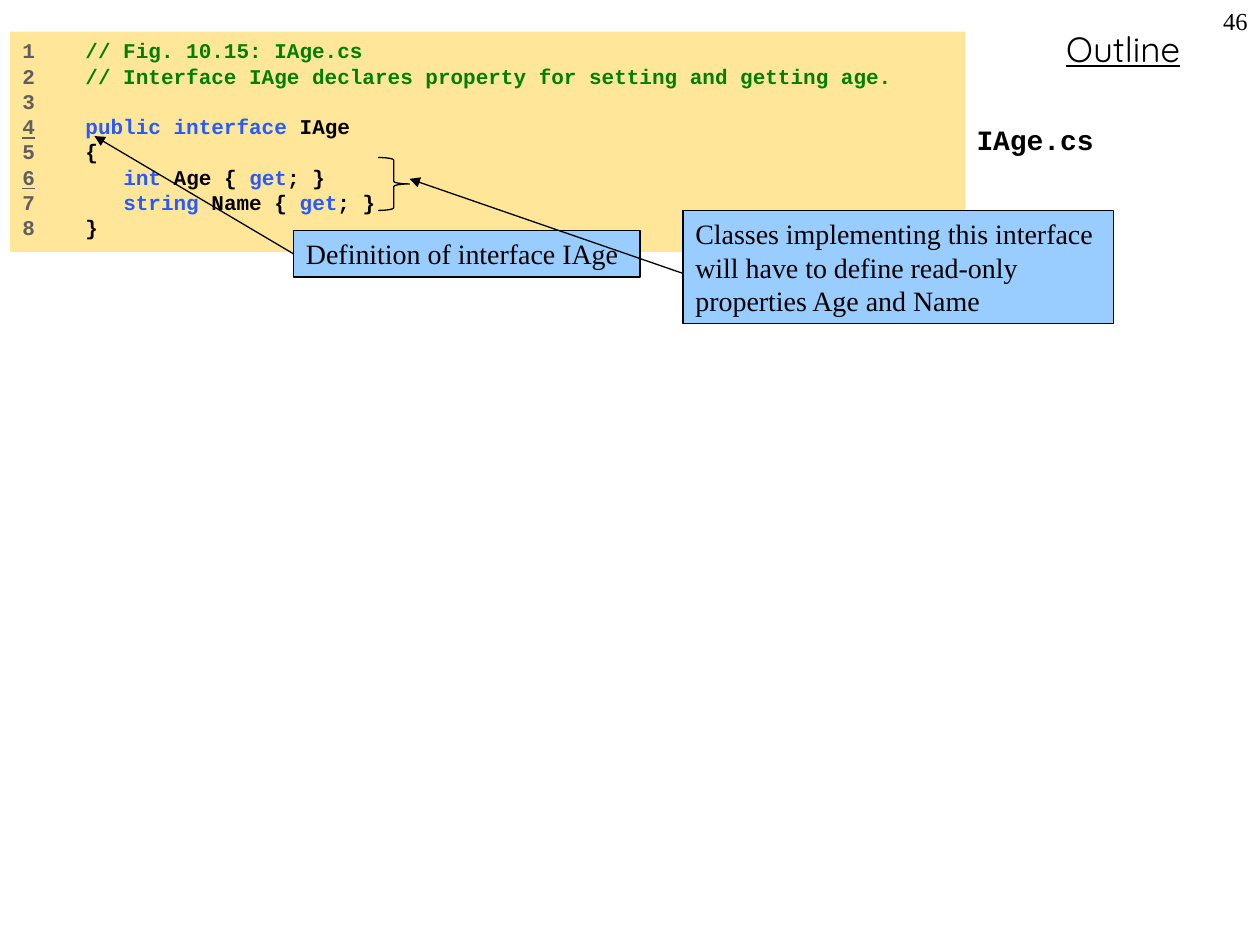
from lxml import etree
from pptx import Presentation, util as u
from pptx.dml.color import RGBColor
from pptx.enum import shapes, text
from pptx.oxml import ns


class Theme:
    ink, num, note, key = "000000", "5F5F5F", "008000", "275AFF"
    code, call = "FFE699", "99CCFF"
    mono, serif, sans = "Courier New", "Times New Roman", "Quicksand"
    small, page, body, head = 12, 14, 16, 20
    line, lead = 0.75, 14.45


deck = Presentation()
deck.slide_width, deck.slide_height = u.Inches(10), u.Inches(7.5)
slide = deck.slides.add_slide(deck.slide_layouts[6])


def write(words, at, font=Theme.serif, size=Theme.body, bold=False, under=False,
          fill=None, edge=False, align="LEFT", lead=None):
    """Place a box; words is a string or lines of (text, colour, underline) runs."""
    spot = [u.Inches(n) for n in at]
    if fill:
        box = slide.shapes.add_shape(shapes.MSO_SHAPE.RECTANGLE, *spot)
        box.shadow.inherit = False
        box.fill.solid()
        box.fill.fore_color.rgb = RGBColor.from_string(fill)
        if edge:
            box.line.color.rgb = RGBColor.from_string(Theme.ink)
            box.line.width = u.Pt(Theme.line)
        else:
            box.line.fill.background()
    else:
        box = slide.shapes.add_textbox(*spot)
    frame = box.text_frame
    frame.word_wrap = True
    frame.vertical_anchor = text.MSO_ANCHOR.TOP
    rows = [[(words, Theme.ink, under)]] if isinstance(words, str) else words
    for i, row in enumerate(rows):
        para = frame.add_paragraph() if i else frame.paragraphs[0]
        para.alignment = text.PP_ALIGN[align]
        if lead:
            para.line_spacing = u.Pt(lead)
        for part, color, mark in row:
            run = para.add_run()
            run.text = part
            run.font.name, run.font.size = font, u.Pt(size)
            run.font.bold, run.font.underline = bold, mark
            run.font.color.rgb = RGBColor.from_string(color)
    return box


# Heading and file name
write("Outline", (7.83, 0.17, 2.17, 0.44), font=Theme.sans, size=Theme.head,
      under=True, align="CENTER")
name = write("IAge.cs", (7.75, 0.92, 2.25, 6), font=Theme.mono, bold=True)
name.text_frame.margin_left = 0

# Code listing: runs after each line number
ink, note, key = Theme.ink, Theme.note, Theme.key
code = [
    [("// Fig. 10.15: IAge.cs", note)],
    [("// Interface IAge declares property for setting and getting age.", note)],
    [],
    [("public interface", key), (" IAge", ink)],
    [("{", ink)],
    [("   int", key), (" Age { ", ink), ("get", key), ("; }", ink)],
    [("   string", key), (" Name { ", ink), ("get", key), ("; }", ink)],
    [("}", ink)],
]
marked = (4, 6)
rows = []
for n, runs in enumerate(code, 1):
    row = [(str(n), Theme.num, n in marked)]
    if runs:
        row.append(("    ", Theme.num, False))
    for part, color in runs:
        pad = part[:len(part) - len(part.lstrip())]
        if pad and color == key:
            row.append((pad, Theme.num, False))
            part = part.lstrip()
        row.append((part, color, False))
    rows.append(row)
write(rows, (0.08, 0.25, 7.58, 1.75), font=Theme.mono, size=Theme.small, bold=True,
      fill=Theme.code, lead=Theme.lead)

# Callouts with arrows; the first arrow leaves from the middle of its box
calls = [
    ("Definition of interface IAge", (2.33, 1.83, 2.75, 0.37),
     (2.33, 2, 0.75, 1.08), True),
    ("Classes implementing this interface will have to define read-only "
     "properties Age and Name", (5.42, 1.67, 3.42, 0.9),
     (5.42, 2.17, 3.25, 1.42), False),
]
for words, at, ends, joined in calls:
    box = write(words, at, fill=Theme.call, edge=True)
    arrow = slide.shapes.add_connector(shapes.MSO_CONNECTOR.STRAIGHT,
                                       *[u.Inches(n) for n in ends])
    if joined:
        arrow.begin_connect(box, 1)
    arrow.line.color.rgb = RGBColor.from_string(Theme.ink)
    arrow.line.width = u.Pt(Theme.line)
    etree.SubElement(arrow.line._get_or_add_ln(), ns.qn("a:tailEnd"), type="triangle")
    etree.SubElement(arrow._element.spPr, ns.qn("a:effectLst"))

# Brace around the two properties
brace = slide.shapes.add_shape(shapes.MSO_SHAPE.RIGHT_BRACE, u.Inches(3),
                               u.Inches(1.25), u.Inches(0.25), u.Inches(0.42))
brace.shadow.inherit = False
brace.fill.background()
brace.line.color.rgb = RGBColor.from_string(Theme.ink)
brace.line.width = u.Pt(Theme.line)

# Page number
write("46", (9.5, 0, 0.5, 0.5), size=Theme.page, align="RIGHT")

deck.save("out.pptx")
